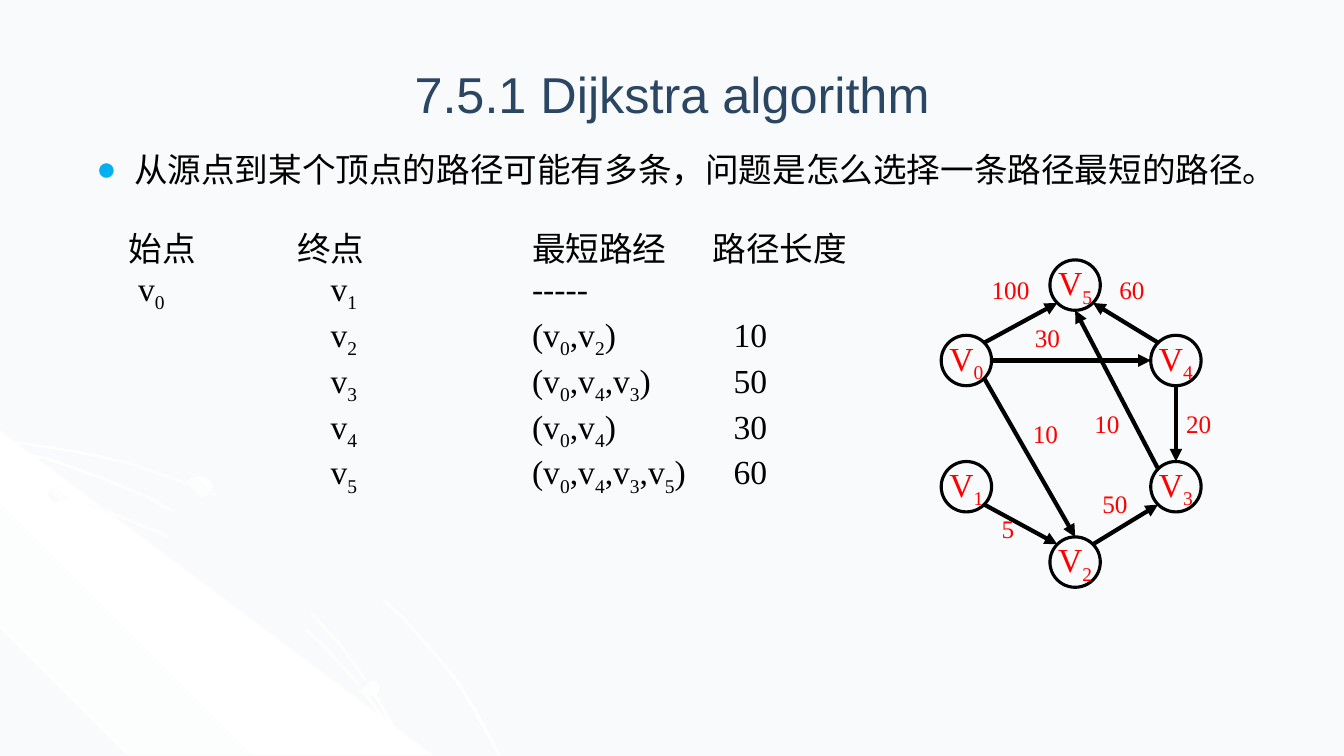
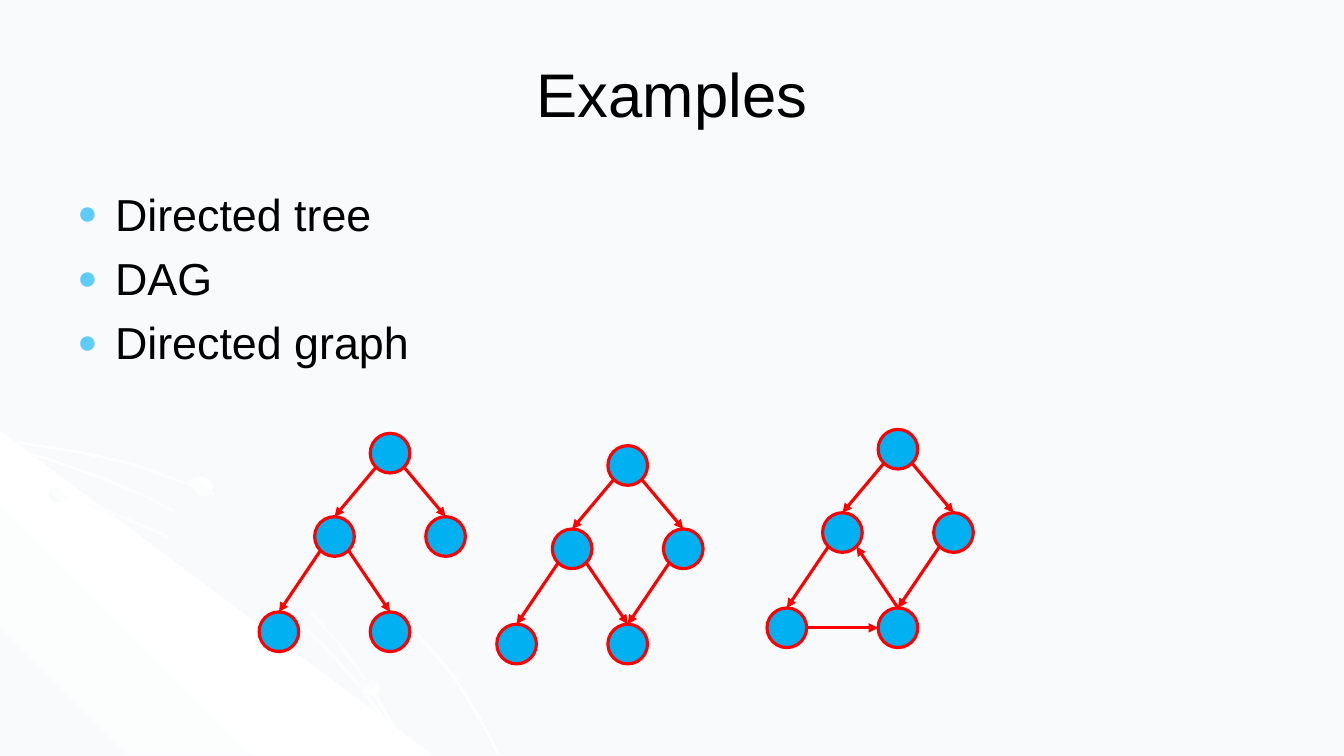
from math import cos, radians, sin

from lxml.etree import SubElement
from pptx import Presentation
from pptx.dml.color import RGBColor
from pptx.enum.shapes import MSO_CONNECTOR as Connector, MSO_SHAPE as Shape
from pptx.enum.text import MSO_ANCHOR as Anchor, PP_ALIGN as Align
from pptx.oxml.ns import qn
from pptx.util import Cm, Pt

COLORS = {
    "paper": "F9FAFB", "white": "FFFFFF", "black": "000000", "navy": "2B4663",
    "red": "FF0000", "blue": "00B0F0", "sky": "5FCBFB",
}
SANS, SERIF = "Arial", "Times New Roman"

STRANDS = [
    [(0, 11.05), (0.94, 11.2), (1.93, 11.35), (3.33, 11.66), (4.62, 12.12), (5.89, 12.62),
     (7.09, 13.23), (8.18, 13.92), (9.22, 14.68), (10.16, 15.52), (11, 16.46),
     (11.51, 17.09), (11.91, 17.73), (12.27, 18.36), (12.6, 19.02)],
    [(0, 12.07), (1.37, 12.4), (2.67, 12.83), (3.96, 13.36), (5.16, 13.94), (6.25, 14.63),
     (7.26, 15.39), (8.2, 16.26), (9.02, 17.17), (9.7, 18.08), (10.01, 18.54), (10.26, 19.02)],
    [(0, 11.23), (1.3, 11.56), (2.57, 12.01), (3.78, 12.52), (4.85, 13.11), (5.92, 13.79),
     (6.91, 14.55), (7.77, 15.32), (8.61, 16.23), (9.09, 16.89), (9.55, 17.6),
     (9.93, 18.29), (10.26, 19.02)],
]
BEAM = [(0, 10.85), (10.9, 19.02), (0, 19.02)]
DROPS = [((1.22, 12.27, 0.51, 0.38), 315), ((9.04, 17.12, 0.53, 0.41), 45),
         ((4.65, 12.01, 0.71, 0.53), 315)]

PATH_STYLE = {"shape": Shape.OVAL, "size": 1.27, "fill": None, "line": "black",
              "node_width": 2.25, "edge_width": 3}
PATH_NODES = {"V_5": (2.74, 0), "V_0": (0, 1.9), "V_4": (5.28, 1.9),
              "V_1": (0, 5.08), "V_3": (5.28, 5.08), "V_2": (2.74, 6.98)}
PATH_EDGES = [
    ("V_0", 7, "V_5", 3), ("V_0", 6, "V_4", 2), ("V_4", 1, "V_5", 5), ("V_4", 4, "V_3", 0),
    ("V_1", 5, "V_2", 1), ("V_0", 5, "V_2", 0), ("V_2", 7, "V_3", 3), ("V_3", 1, "V_5", 4),
]
PATH_WEIGHTS = [
    ("100", 1.02, 0.25), ("60", 4.24, 0.25), ("20", 5.92, 3.61), ("10", 3.61, 3.61),
    ("30", 2.11, 1.45), ("10", 2.06, 3.86), ("5", 1.27, 6.27), ("50", 3.81, 5.64),
]
PATH_ROWS = [
    "\tv_0\tv_1\t-----",
    "\t\tv_2\t(v_0,v_2)\t10",
    "\t\tv_3\t(v_0,v_4,v_3)\t50",
    "\t\tv_4\t(v_0,v_4)\t30",
    "\t\tv_5\t(v_0,v_4,v_3,v_5)\t60",
]

EXAMPLE_STYLE = {"shape": Shape.FLOWCHART_CONNECTOR, "size": 1, "fill": "blue", "line": "red",
                 "node_width": 2.25, "edge_width": 2.25}
EXAMPLE_NODES = {"root": (2.8, 0), "left": (1.4, 2.1), "right": (4.2, 2.1),
                 "leaf": (0, 4.5), "join": (2.8, 4.5)}
TREE_TOP = [("root", 3, "left", 0), ("left", 3, "leaf", 0), ("root", 5, "right", 0)]
LEFT_JOIN, RIGHT_JOIN = ("left", 5, "join", 0), ("right", 3, "join", 0)
EXAMPLES = [
    ((6.53, 10.92), TREE_TOP + [LEFT_JOIN]),
    ((12.52, 11.23), TREE_TOP + [LEFT_JOIN, RIGHT_JOIN]),
    ((19.33, 10.82), TREE_TOP + [("join", 0, "left", 5), ("leaf", 6, "join", 2), RIGHT_JOIN]),
]


def color(name):
    """Return the named colour."""
    return RGBColor.from_string(COLORS[name])


def style(para, font, size, ink):
    """Set the font of a whole paragraph."""
    para.font.name, para.font.size = font, Pt(size)
    para.font.color.rgb = color(ink)


def write(para, text):
    """Write text in which an underscore lowers the next character."""
    first, *parts = text.split("_")
    spans = [(first, False)]
    for part in parts:
        spans += [(part[0], True), (part[1:], False)]
    for words, lowered in spans:
        if words:
            span = para.add_run()
            span.text = words
            if lowered:
                span.font._element.set("baseline", "-25000")


def add_bullet(para, ink, percent):
    """Give a paragraph a hanging round bullet."""
    props = para._p.get_or_add_pPr()
    props.set("marL", str(Cm(0.95)))
    props.set("indent", str(-Cm(0.95)))
    SubElement(SubElement(props, qn("a:buClr")), qn("a:srgbClr"), val=COLORS[ink])
    SubElement(props, qn("a:buSzPct"), val=str(percent * 1000))
    SubElement(props, qn("a:buFont"), typeface=SANS)
    SubElement(props, qn("a:buChar"), char="●")


def add_tabs(para, stops):
    """Set left tab stops, in centimetres."""
    tabs = SubElement(para._p.get_or_add_pPr(), qn("a:tabLst"))
    for stop in stops:
        SubElement(tabs, qn("a:tab"), pos=str(Cm(stop)), algn="l")


def add_text_box(shapes, box, wrap=True):
    """Add a text box and return its text frame."""
    frame = shapes.add_textbox(*map(Cm, box)).text_frame
    frame.word_wrap = wrap
    return frame


def paragraphs(frame, lines):
    """Yield one paragraph of the frame with each line."""
    for index, line in enumerate(lines):
        yield frame.add_paragraph() if index else frame.paragraphs[0], line


def fill_gradient(shape, names, angle):
    """Fill a shape with evenly spaced gradient stops, without a line."""
    shape.shadow.inherit = False
    shape.line.fill.background()
    shape.fill.gradient()
    shape.fill.gradient_angle = 360 - angle
    stops = shape.element.spPr.find(".//" + qn("a:gsLst"))
    stops.clear()
    for index, name in enumerate(names):
        stop = SubElement(stops, qn("a:gs"), pos=str(100000 * index // (len(names) - 1)))
        SubElement(stop, qn("a:srgbClr"), val=COLORS[name])


def add_outline(shapes, points, names, angle):
    """Add a closed gradient outline through points in centimetres."""
    points = [(Cm(x), Cm(y)) for x, y in points]
    builder = shapes.build_freeform(*points[0], scale=1.0)
    builder.add_line_segments(points[1:], close=True)
    fill_gradient(builder.convert_to_shape(), names, angle)


def decorate_master(deck, page):
    """Set the background and move the corner ornament to the master."""
    master = deck.slide_master
    master.background.fill.solid()
    master.background.fill.fore_color.rgb = color("paper")
    group = page.shapes.add_group_shape()
    strands = [curve + [(max(0, x - 0.06), min(19.02, y + 0.05)) for x, y in reversed(curve)]
               for curve in STRANDS]
    glow = ["white", "paper", "white"]
    add_outline(group.shapes, strands[0], glow, 45)
    add_outline(group.shapes, BEAM, ["paper", "white", "paper"], 315)
    for strand in strands[1:]:
        add_outline(group.shapes, strand, glow, 45)
    for box, angle in DROPS:
        drop = group.shapes.add_shape(Shape.OVAL, *map(Cm, box))
        fill_gradient(drop, ["paper", "white"], angle)
    for number, props in enumerate(group.element.iter(qn("p:cNvPr")), 100):
        props.set("id", str(number))
    master.shapes.element.insert(2, group.element)


def set_title(page, text, size, ink):
    """Place and format the title placeholder."""
    title = page.shapes.title
    title.left, title.top, title.width, title.height = map(Cm, (1.7, 0.76, 30.48, 3.18))
    title.text_frame.text = text
    title.text_frame.vertical_anchor = Anchor.MIDDLE
    para = title.text_frame.paragraphs[0]
    para.alignment = Align.CENTER
    style(para, SANS, size, ink)


def add_node(shapes, box, label, look):
    """Add one round node with an optional label."""
    node = shapes.add_shape(look["shape"], *map(Cm, box))
    node.shadow.inherit = False
    if look["fill"]:
        node.fill.solid()
        node.fill.fore_color.rgb = color(look["fill"])
    else:
        node.fill.background()
    node.line.color.rgb = color(look["line"])
    node.line.width = Pt(look["node_width"])
    if "_" in label:
        frame = node.text_frame
        frame.word_wrap = False
        frame.vertical_anchor = Anchor.MIDDLE
        para = frame.paragraphs[0]
        para.alignment = Align.CENTER
        write(para, label)
        style(para, SERIF, 24, "red")
    return node


def site_point(node, site):
    """Locate one of eight sites, counted anticlockwise from the top."""
    angle, radius = radians(90 + 45 * site), node.width / 2
    return (round(node.left + radius * (1 + cos(angle))),
            round(node.top + radius * (1 - sin(angle))))


def add_edge(shapes, start, start_site, end, end_site, look):
    """Add an arrow glued to the sites of two nodes."""
    edge = shapes.add_connector(Connector.STRAIGHT, *site_point(start, start_site),
                                *site_point(end, end_site))
    glue = edge.element.nvCxnSpPr.cNvCxnSpPr
    for tag, node, site in (("a:stCxn", start, start_site), ("a:endCxn", end, end_site)):
        SubElement(glue, qn(tag), id=str(node.shape_id), idx=str(site))
    edge.line.color.rgb = color(look["line"])
    edge.line.width = Pt(look["edge_width"])
    SubElement(edge.line._get_or_add_ln(), qn("a:tailEnd"), type="triangle")
    SubElement(edge.element.spPr, qn("a:effectLst"))


def add_graph(page, origin, nodes, edges, look, weights=()):
    """Draw a grouped directed graph from its top left corner."""
    left, top = origin
    shapes = page.shapes.add_group_shape().shapes
    size = look["size"]
    placed = {name: add_node(shapes, (left + x, top + y, size, size), name, look)
              for name, (x, y) in nodes.items()}
    for start, start_site, end, end_site in edges:
        add_edge(shapes, placed[start], start_site, placed[end], end_site, look)
    for weight, x, y in weights:
        box = (left + x, top + y, 0.51 + 0.32 * len(weight), 1.02)
        para = add_text_box(shapes, box, wrap=False).paragraphs[0]
        para.text = weight
        style(para, SERIF, 18, "red")


def add_path_list(page, box):
    """List the shortest paths in tabbed columns."""
    lines = ["始点\t终点\t最短路经\t路径长度"] + PATH_ROWS
    for para, line in paragraphs(add_text_box(page.shapes, box), lines):
        add_tabs(para, (0.23, 5.08, 10.16, 15.24) if line in PATH_ROWS else (4.24, 10.16, 14.71))
        write(para, line)
        style(para, SERIF, 24, "black")


def fill_dijkstra(page):
    """Build the slide on shortest paths."""
    set_title(page, "7.5.1 Dijkstra algorithm", 36, "navy")
    para = add_text_box(page.shapes, (2.18, 3.63, 29.54, 1.27)).paragraphs[0]
    add_bullet(para, "blue", 100)
    write(para, "从源点到某个顶点的路径可能有多条，问题是怎么选择一条路径最短的路径。")
    style(para, SERIF, 24, "black")
    add_path_list(page, (3, 5.61, 19.58, 6.4))
    add_graph(page, (23.72, 6.55), PATH_NODES, PATH_EDGES, PATH_STYLE, PATH_WEIGHTS)


def fill_examples(page):
    """Build the slide with three example graphs."""
    set_title(page, "Examples", 44, "black")
    frame = add_text_box(page.shapes, (1.7, 4.57, 30.48, 5))
    for para, line in paragraphs(frame, ["Directed tree", "DAG", "Directed graph"]):
        add_bullet(para, "sky", 75)
        write(para, line)
        style(para, SANS, 32, "black")
        if para._p is not frame.paragraphs[0]._p:
            para.space_before = Pt(7.5)
    for origin, edges in EXAMPLES:
        add_graph(page, origin, EXAMPLE_NODES, edges, EXAMPLE_STYLE)


def main():
    """Build and save the deck."""
    deck = Presentation()
    deck.slide_width, deck.slide_height = Cm(33.87), Cm(19.05)
    pages = [deck.slides.add_slide(deck.slide_layouts[5]) for _ in range(2)]
    decorate_master(deck, pages[0])
    fill_dijkstra(pages[0])
    fill_examples(pages[1])
    deck.save("out.pptx")


if __name__ == "__main__":
    main()
